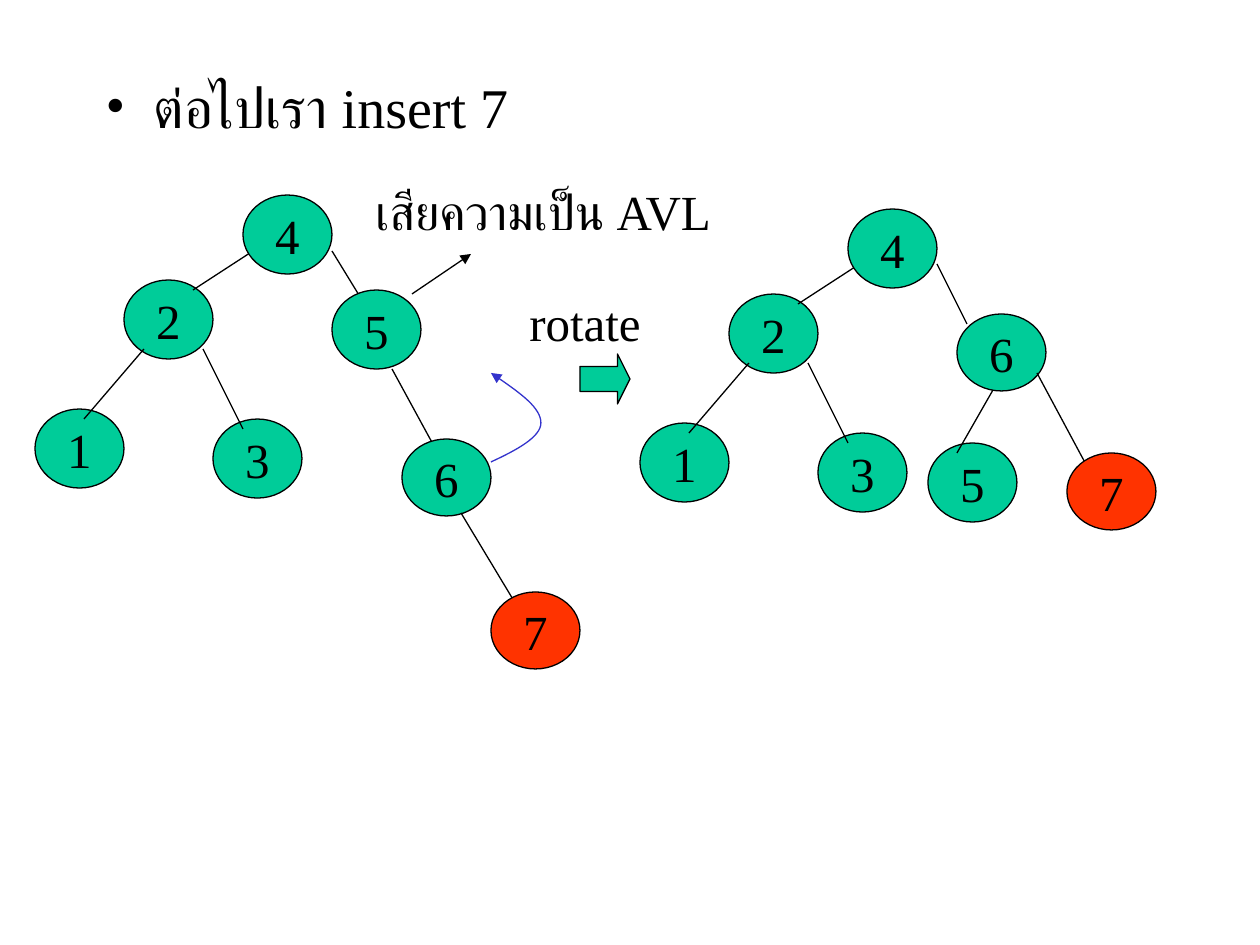
from dataclasses import dataclass

from lxml.etree import SubElement
from pptx import Presentation
from pptx.dml.color import RGBColor
from pptx.enum.shapes import MSO_CONNECTOR as Connector, MSO_SHAPE as Preset
from pptx.enum.text import MSO_ANCHOR as Anchor, MSO_AUTO_SIZE as AutoSize, PP_ALIGN as Align
from pptx.oxml.ns import qn
from pptx.util import Emu, Pt

BLACK = RGBColor(0x00, 0x00, 0x00)
GREEN = RGBColor(0x00, 0xCC, 0x99)
RED = RGBColor(0xFF, 0x33, 0x00)
BLUE = RGBColor(0x33, 0x33, 0xCC)
FONT = "Times New Roman"
NODE_WIDTH = 89


@dataclass(frozen=True)
class Node:
    key: str
    left: int
    top: int
    height: int = 79
    fill: RGBColor = GREEN


@dataclass(frozen=True)
class Edge:
    x1: int
    y1: int
    x2: int
    y2: int
    arrow: bool = False


@dataclass(frozen=True)
class Label:
    text: str
    left: int
    top: int
    width: int
    height: int


SHARED_SUBTREE = [
    Node("3", 213, 419),
    Node("2", 124, 280),
    Edge(253, 251, 193, 290),
    Node("1", 35, 409),
    Edge(144, 349, 84, 419),
    Node("4", 243, 195),
    Edge(203, 349, 243, 429),
]
UNBALANCED_BRANCH = [
    Edge(332, 251, 362, 300),
    Node("5", 332, 290),
    Edge(392, 369, 441, 459),
    Node("6", 402, 439, 77),
    Edge(461, 513, 520, 611),
    Node("7", 491, 592, 77, RED),
    Edge(412, 294, 471, 254, arrow=True),
]
ROTATED_BRANCH = [
    Edge(937, 264, 967, 324),
    Node("5", 928, 443),
    Edge(997, 383, 957, 453),
    Node("6", 957, 314, 77),
    Edge(1037, 373, 1096, 483),
    Node("7", 1067, 453, 77, RED),
]
LABELS = [
    Label("เสียความเป็น AVL", 363, 175, 367, 72),
    Label("rotate", 517, 286, 138, 72),
]
ROTATION_CURVE = [
    (491, 462), (517, 450), (541, 437), (541, 423),
    (541, 408), (516, 390), (491, 373),
]


def px(length: int) -> Emu:
    return Emu(round(length * 914400 / 126))


def style_text(paragraph, size: int) -> None:
    paragraph.font.color.rgb = BLACK
    for attribute, value in {"name": FONT, "size": Pt(size)}.items():
        setattr(paragraph.font, attribute, value)


def style_line(shape, color: RGBColor, arrow: bool = False) -> None:
    shape.line.color.rgb = color
    shape.line.width = Pt(0.75)
    if arrow:
        SubElement(shape.line._get_or_add_ln(), qn("a:tailEnd"), type="triangle")


def style_fill(shape, color: RGBColor) -> None:
    shape.shadow.inherit = False
    shape.fill.solid()
    shape.fill.fore_color.rgb = color
    style_line(shape, BLACK)


def draw_node(slide, node: Node, dx: int, dy: int) -> None:
    box = map(px, (node.left + dx, node.top + dy, NODE_WIDTH, node.height))
    circle = slide.shapes.add_shape(Preset.OVAL, *box)
    style_fill(circle, node.fill)
    frame = circle.text_frame
    for attribute, value in {"text": node.key, "word_wrap": False,
                             "vertical_anchor": Anchor.MIDDLE}.items():
        setattr(frame, attribute, value)
    paragraph = frame.paragraphs[0]
    paragraph.alignment = Align.CENTER
    style_text(paragraph, 28)


def draw_edge(slide, edge: Edge, dx: int, dy: int) -> None:
    ends = map(px, (edge.x1 + dx, edge.y1 + dy, edge.x2 + dx, edge.y2 + dy))
    connector = slide.shapes.add_connector(Connector.STRAIGHT, *ends)
    style_line(connector, BLACK, edge.arrow)
    SubElement(connector._element.spPr, qn("a:effectLst"))


def draw_tree(slide, parts: list[Node | Edge], dx: int = 0, dy: int = 0) -> None:
    for part in parts:
        draw = draw_node if isinstance(part, Node) else draw_edge
        draw(slide, part, dx, dy)


def draw_label(slide, label: Label) -> None:
    box = map(px, (label.left, label.top, label.width, label.height))
    frame = slide.shapes.add_textbox(*box).text_frame
    for attribute, value in {"text": label.text, "word_wrap": False,
                             "auto_size": AutoSize.SHAPE_TO_FIT_TEXT}.items():
        setattr(frame, attribute, value)
    style_text(frame.paragraphs[0], 28)


def draw_curve(slide, points: list[tuple[int, int]]) -> None:
    start, *controls = [(px(x), px(y)) for x, y in points]
    builder = slide.shapes.build_freeform(*start)
    builder.add_line_segments(controls, close=False)
    curve = builder.convert_to_shape()
    outline = curve._element.find(".//" + qn("a:path"))
    segments = outline.findall(qn("a:lnTo"))
    for first in range(0, len(segments), 3):
        bezier = SubElement(outline, qn("a:cubicBezTo"))
        for segment in segments[first:first + 3]:
            bezier.append(segment[0])
            outline.remove(segment)
    curve.shadow.inherit = False
    curve.fill.background()
    style_line(curve, BLUE, arrow=True)


def write_heading(slide) -> None:
    title, body = slide.placeholders
    title._element.getparent().remove(title._element)
    for attribute, value in {"left": 93, "top": 66, "width": 1071, "height": 567}.items():
        setattr(body, attribute, px(value))
    body.text_frame.text = "ต่อไปเรา insert 7"
    paragraph = body.text_frame.paragraphs[0]
    paragraph.space_before = Pt(0)
    properties = paragraph._p.get_or_add_pPr()
    for attribute, value in {"marL": px(48), "indent": -px(48)}.items():
        properties.set(attribute, str(value))
    SubElement(properties, qn("a:buFont"), typeface=FONT)
    SubElement(properties, qn("a:buChar"), char="•")
    style_text(paragraph, 32)


def main() -> None:
    presentation = Presentation()
    presentation.slide_width = px(1260)
    presentation.slide_height = px(945)
    slide = presentation.slides.add_slide(presentation.slide_layouts[1])
    write_heading(slide)
    draw_tree(slide, SHARED_SUBTREE)
    draw_tree(slide, UNBALANCED_BRANCH)
    for label in LABELS:
        draw_label(slide, label)
    rotate_arrow = slide.shapes.add_shape(Preset.RIGHT_ARROW, *map(px, (580, 354, 50, 50)))
    rotate_arrow.adjustments[1] = 0.25
    style_fill(rotate_arrow, GREEN)
    draw_tree(slide, SHARED_SUBTREE, dx=605, dy=14)
    draw_tree(slide, ROTATED_BRANCH)
    draw_curve(slide, ROTATION_CURVE)
    presentation.save("out.pptx")


if __name__ == "__main__":
    main()
